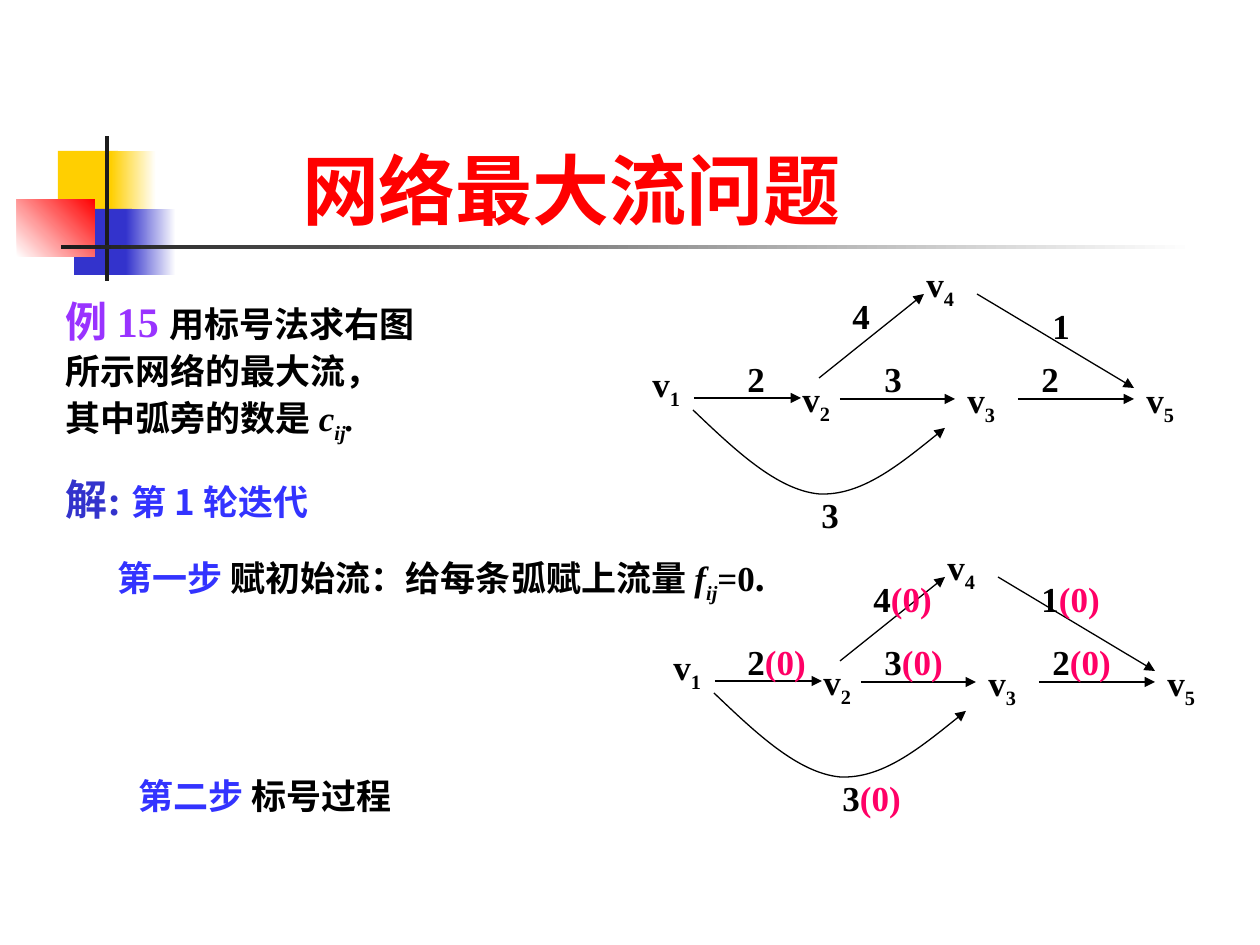
from lxml import etree
from pptx import Presentation
from pptx import util as u
from pptx.dml.color import RGBColor
from pptx.enum import shapes, text
from pptx.oxml.ns import qn

PX_PER_INCH = 126
SERIF, SANS = "Times New Roman", "Noto Sans CJK SC"
BLACK, BLUE, NAVY, RED = "000000", "3333FF", "3333CC", "FF0000"
PURPLE, PINK, YELLOW, DARK, WHITE = "9933FF", "FF0066", "FFCF01", "1C1C1C", "FFFFFF"

# Content: decoration as box, colours (two make a gradient), gradient angle
DECORATION = [
    ((58, 151, 60, 66), [YELLOW], 0),
    ((111, 151, 45, 66), [YELLOW, WHITE], 0),
    ((74, 209, 58, 66), [NAVY], 0),
    ((126, 209, 50, 66), [NAVY, WHITE], 0),
    ((17, 199, 78, 58), [WHITE, RED], 45),
    ((105, 136, 4, 145), [DARK], 0),
    ((61, 245, 1134, 4), [DARK, WHITE], 0),
]
TITLE = "网络最大流问题"

# Run: words, format; each run starts from black bold sans at 20 pt
LEAD = {"size": 24, "name": SERIF, "color": PURPLE}
SOLUTION = {**LEAD, "color": NAVY}
STEP = {"color": BLUE}
VARIABLE = {"name": SERIF, "italic": True}
INDEX = {**VARIABLE, "baseline": -25000}
SERIF_RUN = {"name": SERIF}
NODE_INDEX = {"name": SERIF, "baseline": -25000}
FLOW = {"name": SERIF, "color": PINK}

# Text block: box, line spacing, paragraphs of runs
BLOCKS = [
    ((53, 284, 410, 189), 1.1, [
        [("例 15 ", LEAD), ("用标号法求右图", {})],
        [("所示网络的最大流，", {})],
        [("其中弧旁的数是 ", {}), ("c", VARIABLE), ("ij", INDEX), (".", VARIABLE)],
    ]),
    ((53, 462, 368, 73), 1.1, [[("解: ", SOLUTION), ("第 1 轮迭代", STEP)]]),
    ((105, 536, 977, 63), 1.3, [
        [("第一步", STEP), (" 赋初始流：给每条弧赋上流量 ", {}),
         ("f", VARIABLE), ("ij", INDEX), ("=0", SERIF_RUN), (".", {})],
    ]),
    ((126, 756, 365, 68), 1.3, [[("第二步", STEP), (" 标号过程", {})]]),
]

# Network shared by both drawings
NODES = {"1": (640, 352), "2": (790, 367), "3": (955, 368), "4": (914, 252), "5": (1134, 368)}
ARCS = [
    ((694, 398), (801, 398)),
    ((840, 399), (955, 399)),
    ((1018, 399), (1134, 399)),
    ((819, 378), (924, 294)),
    ((977, 294), (1134, 388)),
]
CURVE = [(693, 410), (735, 450), (777, 490), (819, 494), (861, 496), (903, 462), (945, 428)]

# Drawing: offset, flow after each capacity, capacities with their places
NETWORKS = [
    ((0, 0), "", [("2", 735, 347), ("3", 872, 347), ("2", 1029, 347),
                  ("3", 809, 483), ("4", 840, 284), ("1", 1040, 294)]),
    ((21, 283), "(0)", [("2", 735, 630), ("3", 872, 630), ("2", 1040, 630),
                        ("3", 830, 766), ("4", 861, 567), ("1", 1029, 567)]),
]


def px(value):
    return u.Emu(round(value * 914400 / PX_PER_INCH))


def rgb(color):
    return RGBColor.from_string(color)


def add_run(paragraph, words, style):
    style = {"size": 20, "name": SANS, "color": BLACK, "bold": True, **style}
    run = paragraph.add_run()
    run.text = words
    run.font.color.rgb = rgb(style.pop("color"))
    run.font.size = u.Pt(style.pop("size"))
    properties = run.font._element
    for key, value in style.items():
        if key == "baseline":
            properties.set(key, str(value))
        else:
            setattr(run.font, key, value)
    etree.SubElement(properties, qn("a:ea")).set("typeface", SANS)


def add_text(parent, box, spacing, paragraphs):
    frame = parent.add_textbox(*map(px, box)).text_frame
    frame.word_wrap = True
    for number, runs in enumerate(paragraphs):
        paragraph = frame.add_paragraph() if number else frame.paragraphs[0]
        paragraph.line_spacing = spacing
        for words, style in runs:
            add_run(paragraph, words, style)


def add_decoration(parent, box, colors, angle):
    shape = parent.add_shape(shapes.MSO_SHAPE.RECTANGLE, *map(px, box))
    shape.shadow.inherit = False
    shape.line.fill.background()
    if len(colors) == 1:
        shape.fill.solid()
        shape.fill.fore_color.rgb = rgb(colors[0])
        return
    shape.fill.gradient()
    shape.fill.gradient_angle = angle
    for stop, color in zip(shape.fill.gradient_stops, colors):
        stop.color.rgb = rgb(color)


def style_arrow(shape):
    shape.line.color.rgb = rgb(BLACK)
    shape.line.width = u.Pt(0.75)
    etree.SubElement(shape.line._get_or_add_ln(), qn("a:tailEnd")).set("type", "triangle")


def add_arc(parent, start, end):
    arc = parent.add_connector(shapes.MSO_CONNECTOR.STRAIGHT, *map(px, start + end))
    style_arrow(arc)
    etree.SubElement(arc._element.spPr, qn("a:effectLst"))


def add_curve(parent, points):
    points = [(px(x), px(y)) for x, y in points]
    builder = parent.build_freeform(*points[0])
    builder.add_line_segments(points[1:], close=False)
    curve = builder.convert_to_shape()
    curve.shadow.inherit = False
    curve.fill.background()
    style_arrow(curve)
    # Every three line ends become one cubic segment
    outline = next(curve._element.iter(qn("a:path")))
    segments = outline.findall(qn("a:lnTo"))
    for first in range(0, len(segments), 3):
        cubic = etree.SubElement(outline, qn("a:cubicBezTo"))
        for segment in segments[first:first + 3]:
            cubic.append(segment[0])
            outline.remove(segment)


def add_network(slide, offset, flow, capacities):
    group = slide.shapes.add_group_shape().shapes

    def moved(point):
        return point[0] + offset[0], point[1] + offset[1]

    for index, place in NODES.items():
        size = (59, 63) if index == "5" else (81, 74)
        add_text(group, moved(place) + size, 1.1, [[("v", SERIF_RUN), (index, NODE_INDEX)]])
    for start, end in ARCS:
        add_arc(group, moved(start), moved(end))
    add_curve(group, [moved(point) for point in CURVE])
    for capacity, left, top in capacities:
        runs = [(capacity, SERIF_RUN)] + ([(flow, FLOW)] if flow else [])
        add_text(group, (left, top, 100 if flow else 64, 52), 1.1, [runs])


def add_title(slide):
    title = slide.shapes.title
    title.left, title.top, title.width, title.height = map(px, (273, 115, 620, 126))
    frame = title.text_frame
    frame.vertical_anchor = text.MSO_ANCHOR.BOTTOM
    frame.margin_left = px(29)
    frame.auto_size = text.MSO_AUTO_SIZE.NONE
    frame.paragraphs[0].alignment = text.PP_ALIGN.LEFT
    add_run(frame.paragraphs[0], TITLE, {"size": 44, "name": SERIF, "color": RED})


def main():
    presentation = Presentation()
    presentation.slide_width, presentation.slide_height = px(1260), px(945)
    slide = presentation.slides.add_slide(presentation.slide_layouts[5])
    for box, colors, angle in DECORATION:
        add_decoration(slide.shapes, box, colors, angle)
    add_title(slide)
    for box, spacing, paragraphs in BLOCKS:
        add_text(slide.shapes, box, spacing, paragraphs)
    for offset, flow, capacities in NETWORKS:
        add_network(slide, offset, flow, capacities)
    presentation.save("out.pptx")


if __name__ == "__main__":
    main()
